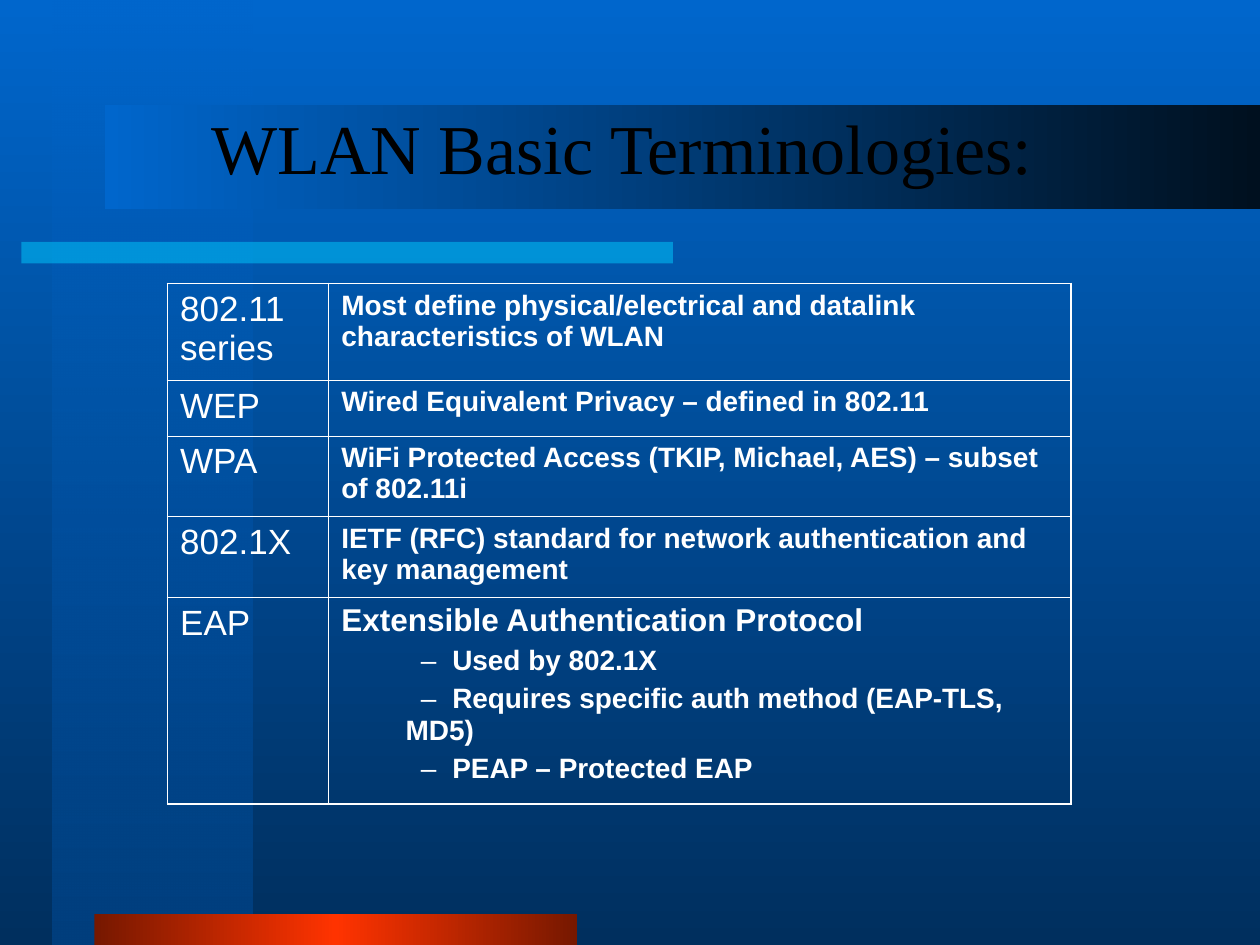
from dataclasses import dataclass

from lxml.etree import SubElement
from pptx import Presentation
from pptx.dml.color import RGBColor
from pptx.enum.shapes import MSO_SHAPE as Shape
from pptx.enum.text import MSO_ANCHOR as Anchor
from pptx.oxml.ns import qn
from pptx.util import Inches, Pt


@dataclass(frozen=True)
class Theme:
    blue: str = "0066CC"
    navy: str = "002F5E"
    column: str = "003F7E"
    cyan: str = "00CCFF"
    red: str = "FF3300"
    maroon: str = "761800"
    night: str = "00101F"
    black: str = "000000"
    white: str = "FFFFFF"
    serif: str = "Times New Roman"
    sans: str = "Arial"
    title: int = 40
    term: int = 20
    lead: int = 18
    body: int = 16
    outer: float = 1.08
    inner: float = 0.45


theme = Theme()


def paint(fill, owner, stops, angle=0):
    """Fill with (position, colour, opacity) stops, all in percent."""
    fill.gradient()
    gradient = owner.find(".//" + qn("a:gradFill"))
    for child in list(gradient):
        gradient.remove(child)
    stop_list = SubElement(gradient, qn("a:gsLst"))
    for position, color, opacity in stops:
        stop = SubElement(stop_list, qn("a:gs"), pos=str(position * 1000))
        shade = SubElement(stop, qn("a:srgbClr"), val=color)
        if opacity < 100:
            SubElement(shade, qn("a:alpha"), val=str(opacity * 1000))
    SubElement(gradient, qn("a:lin"), ang=str(angle * 60000), scaled="0")


def write(para, text, size, font=theme.sans, color=theme.white, bold=False, before=0):
    if before:
        para.space_before = Pt(before)
    span = para.add_run()
    span.text = text
    span.font.name = font
    span.font.size = Pt(size)
    span.font.bold = bold
    span.font.color.rgb = RGBColor.from_string(color)


deck = Presentation()
deck.slide_width, deck.slide_height = Inches(10), Inches(7.5)
page = deck.slides.add_slide(deck.slide_layouts[6])

# Background and decorative bars
paint(page.background.fill, page.element,
      [(0, theme.blue, 100), (100, theme.navy, 100)], 90)
bars = [
    ((0.42, 0, 1.58, 7.5), [(0, theme.blue, 50), (100, theme.column, 100)], 90),
    ((0.17, 1.92, 5.17, 0.17), [(0, theme.cyan, 50), (100, theme.cyan, 50)], 0),
    ((0.75, 7.25, 3.83, 0.25),
     [(0, theme.maroon, 100), (50, theme.red, 100), (100, theme.maroon, 100)], 0),
    ((0.83, 0.83, 9.17, 0.83), [(0, theme.blue, 100), (100, theme.night, 100)], 0),
]
for place, stops, angle in bars:
    bar = page.shapes.add_shape(Shape.RECTANGLE, *map(Inches, place))
    bar.shadow.inherit = False
    bar.line.fill.background()
    paint(bar.fill, bar.element, stops, angle)

# Title
title = page.shapes.add_textbox(Inches(1.58), Inches(0.75), Inches(7.08), Inches(0.83))
title.text_frame.word_wrap = True
title.text_frame.vertical_anchor = Anchor.MIDDLE
write(title.text_frame.paragraphs[0], "WLAN Basic Terminologies:", theme.title,
      font=theme.serif, color=theme.black)

# Terms table: term, definition, definition size, row height
terms = [
    ("802.11 series",
     "Most define physical/electrical and datalink characteristics of WLAN",
     theme.body, 0.77),
    ("WEP", "Wired Equivalent Privacy – defined in 802.11", theme.body, 0.44),
    ("WPA", "WiFi Protected Access (TKIP, Michael, AES) – subset of 802.11i",
     theme.body, 0.64),
    ("802.1X", "IETF (RFC) standard for network authentication and key management",
     theme.body, 0.64),
    ("EAP", "Extensible Authentication Protocol", theme.lead, 1.64),
]
eap_points = ["Used by 802.1X", "Requires specific auth method (EAP-TLS, MD5)",
              "PEAP – Protected EAP"]
frame = page.shapes.add_table(len(terms), 2, Inches(1.33), Inches(2.25),
                              Inches(7.17), Inches(4.13))
table = frame.table
table.first_row = table.horz_banding = False
table.columns[0].width, table.columns[1].width = Inches(1.28), Inches(5.89)

for row, (term, definition, size, height) in enumerate(terms):
    table.rows[row].height = Inches(height)
    write(table.cell(row, 0).text_frame.paragraphs[0], term, theme.term)
    write(table.cell(row, 1).text_frame.paragraphs[0], definition, size, bold=True)

# Dashed points under EAP
eap_text = table.cell(len(terms) - 1, 1).text_frame
for point in eap_points:
    para = eap_text.add_paragraph()
    para.level = 1
    layout = para._p.get_or_add_pPr()
    layout.set("marL", str(Inches(0.51)))
    layout.set("indent", str(Inches(0.12)))
    bullet_color = SubElement(layout, qn("a:buClr"))
    SubElement(bullet_color, qn("a:srgbClr"), val=theme.white)
    SubElement(layout, qn("a:buFont"), typeface=theme.sans)
    SubElement(layout, qn("a:buChar"), char="–")
    tabs = SubElement(layout, qn("a:tabLst"))
    SubElement(tabs, qn("a:tab"), pos=str(Inches(0.88)), algn="l")
    write(para, "\t" + point, theme.body, bold=True, before=4)

# Cell borders: heavier around the outside
for row in range(len(terms)):
    for column in range(2):
        cell = table.cell(row, column)
        outside = {"L": column == 0, "R": column == 1,
                   "T": row == 0, "B": row == len(terms) - 1}
        properties = cell._tc.get_or_add_tcPr()
        for side, is_outer in outside.items():
            width = Pt(theme.outer if is_outer else theme.inner)
            border = SubElement(properties, qn("a:ln" + side), w=str(width))
            line = SubElement(border, qn("a:solidFill"))
            SubElement(line, qn("a:srgbClr"), val=theme.white)
        cell.fill.background()

deck.save("out.pptx")
